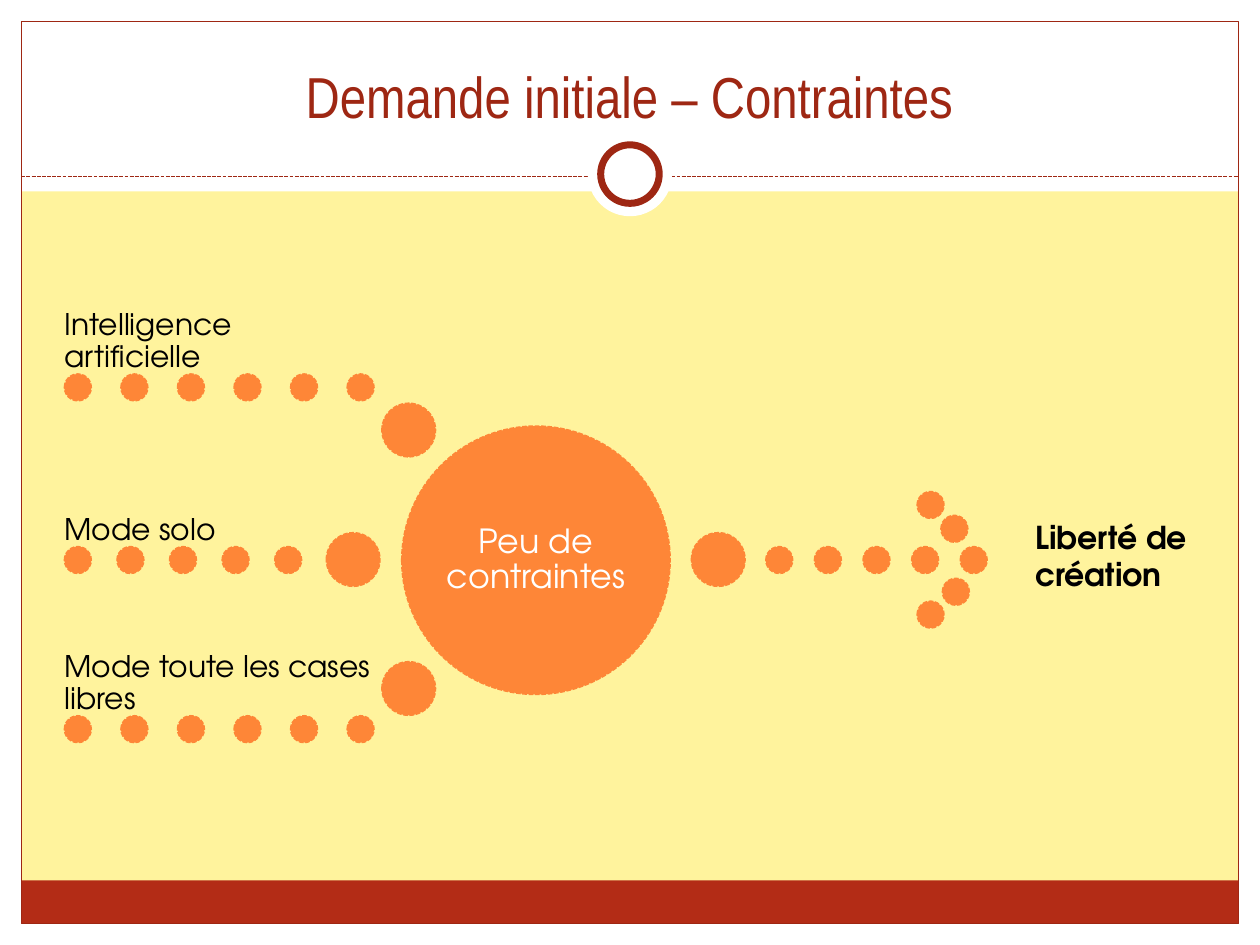
"""Build the slide on initial request constraints as a converging dot diagram."""
from dataclasses import dataclass
from typing import NamedTuple, Optional

from lxml import etree
from pptx import Presentation
from pptx.dml.color import RGBColor
from pptx.enum import dml, shapes, text
from pptx.oxml.ns import qn
from pptx.util import Cm, Pt


@dataclass(frozen=True)
class Theme:
    """Colours, fonts and sizes of the slide."""

    background: str = "FFF39D"
    white: str = "FFFFFF"
    black: str = "000000"
    accent: str = "9E2713"
    band: str = "B32C16"
    dot: str = "FE8637"
    title_font: str = "Arial Narrow"
    body_font: str = "TeX Gyre Adventor"
    title_size: float = 33
    hub_size: float = 19
    label_size: float = 17
    result_size: float = 18
    thin: float = 0.75
    dot_line: float = 0.9
    ring_line: float = 4


class Box(NamedTuple):
    """A position and size in centimetres."""

    left: float
    top: float
    width: float
    height: float


class Line(NamedTuple):
    """An outline."""

    color: str
    width: float
    dashed: bool = False


class Style(NamedTuple):
    """The look of a text."""

    size: float
    color: str
    font: str
    bold: bool = False
    align: text.PP_ALIGN = text.PP_ALIGN.LEFT
    anchor: text.MSO_ANCHOR = text.MSO_ANCHOR.BOTTOM
    spacing: Optional[float] = None
    margin: Optional[float] = None


class DotRow(NamedTuple):
    """A horizontal row of equally spaced dots."""

    left: float
    top: float
    pitch: float
    count: int


class Branch(NamedTuple):
    """A labelled dot row that leads to a larger node."""

    label: str
    label_width: float
    row: DotRow
    node_left: float
    node_top: float


THEME = Theme()
RECTANGLE = shapes.MSO_SHAPE.RECTANGLE
OVAL = shapes.MSO_SHAPE.OVAL
WIDTH, HEIGHT = 25.4, 19.05
EDGE = 0.43
HEADER = 3.86
RULE_TOP = 3.56
DOT, NODE = 0.54, 1.08
LABEL_HEIGHT = 1.37
HUB = Box(8.1, 8.59, 5.41, 5.41)
OUTPUT_NODE = (13.94, 10.74)
OUTPUT_ROW = DotRow(15.44, 11.02, 0.98, 5)
ARROW_DOTS = ((18.49, 9.91), (18.97, 10.39), (19, 11.66), (18.49, 12.12))
BRANCHES = (
    Branch("Intelligence artificielle", 6.25, DotRow(1.3, 7.54, 1.14, 6), 7.7, 8.13),
    Branch("Mode solo", 4.72, DotRow(1.3, 11.02, 1.06, 5), 6.58, 10.74),
    Branch("Mode toute les cases libres", 6.25, DotRow(1.3, 14.43, 1.14, 6), 7.7, 13.34),
)


def set_line(line_format, line: Line) -> None:
    """Apply an outline to a line format."""
    line_format.color.rgb = RGBColor.from_string(line.color)
    line_format.width = Pt(line.width)
    if line.dashed:
        line_format.dash_style = dml.MSO_LINE.SQUARE_DOT


def add_figure(slide, kind, box: Box, fill: Optional[str] = None, line: Optional[Line] = None):
    """Add a preset shape with an optional fill and outline."""
    shape = slide.shapes.add_shape(kind, *map(Cm, box))
    shape.shadow.inherit = False
    if fill:
        shape.fill.solid()
        shape.fill.fore_color.rgb = RGBColor.from_string(fill)
    else:
        shape.fill.background()
    if line:
        set_line(shape.line, line)
    else:
        shape.line.fill.background()
    return shape


def write(shape, content: str, style: Style) -> None:
    """Write one styled paragraph into a shape."""
    frame = shape.text_frame
    frame.text = content
    frame.word_wrap = True
    frame.auto_size = text.MSO_AUTO_SIZE.NONE
    frame.vertical_anchor = style.anchor
    if style.margin is not None:
        frame.margin_left = frame.margin_right = Cm(style.margin)
        frame.margin_top = frame.margin_bottom = Cm(style.margin)
    paragraph = frame.paragraphs[0]
    paragraph.alignment = style.align
    paragraph.line_spacing = style.spacing
    paragraph.font.size = Pt(style.size)
    paragraph.font.name = style.font
    paragraph.font.bold = style.bold
    paragraph.font.color.rgb = RGBColor.from_string(style.color)


def add_label(slide, box: Box, content: str, style: Style) -> None:
    """Add a text box."""
    write(slide.shapes.add_textbox(*map(Cm, box)), content, style)


def add_circle(slide, left: float, top: float, size: float):
    """Add an orange circle."""
    line = Line(THEME.dot, THEME.dot_line, dashed=True)
    return add_figure(slide, OVAL, Box(left, top, size, size), THEME.dot, line)


def add_row(slide, row: DotRow) -> None:
    """Add a row of dots."""
    for index in range(row.count):
        add_circle(slide, row.left + index * row.pitch, row.top, DOT)


def add_frame(slide) -> None:
    """Add the white margins, header, footer band, border and ring."""
    slide.background.fill.solid()
    slide.background.fill.fore_color.rgb = RGBColor.from_string(THEME.background)
    inner_width = WIDTH - 2 * EDGE
    for box in (
        Box(0, HEIGHT - EDGE, WIDTH, EDGE),
        Box(0, 0, WIDTH, HEADER),
        Box(0, 0, EDGE, HEIGHT),
        Box(WIDTH - EDGE, 0, EDGE, HEIGHT),
    ):
        add_figure(slide, RECTANGLE, box, THEME.white)
    add_figure(slide, RECTANGLE, Box(EDGE, 17.75, inner_width, 0.87), THEME.band)
    border = Line(THEME.accent, THEME.thin)
    add_figure(slide, RECTANGLE, Box(EDGE, EDGE, inner_width, HEIGHT - 2 * EDGE), line=border)
    ends = map(Cm, (EDGE, RULE_TOP, WIDTH - EDGE, RULE_TOP))
    rule = slide.shapes.add_connector(shapes.MSO_CONNECTOR.STRAIGHT, *ends)
    set_line(rule.line, Line(THEME.accent, THEME.thin, dashed=True))
    etree.SubElement(rule._element.spPr, qn("a:effectLst"))
    for size, line in ((1.7, None), (1.18, Line(THEME.accent, THEME.ring_line))):
        box = Box((WIDTH - size) / 2, 3.51 - size / 2, size, size)
        add_figure(slide, OVAL, box, THEME.white, line)


def add_title(slide, content: str) -> None:
    """Place the title above the frame."""
    title = slide.shapes.title
    title.left, title.top, title.width, title.height = map(Cm, (0.84, 0.64, 23.7, 2.11))
    write(title, content, Style(THEME.title_size, THEME.accent, THEME.title_font,
                                align=text.PP_ALIGN.CENTER))
    slide.shapes._spTree.append(title._element)


def add_diagram(slide) -> None:
    """Add the branches, the hub and the dotted arrow to the result."""
    add_row(slide, OUTPUT_ROW)
    add_circle(slide, *OUTPUT_NODE, NODE)
    for left, top in ARROW_DOTS:
        add_circle(slide, left, top, DOT)
    write(add_circle(slide, HUB.left, HUB.top, HUB.width), "Peu de contraintes",
          Style(THEME.hub_size, THEME.white, THEME.body_font, align=text.PP_ALIGN.CENTER,
                anchor=text.MSO_ANCHOR.MIDDLE, spacing=0.9, margin=0.08))
    label_style = Style(THEME.label_size, THEME.black, THEME.body_font, spacing=0.9, margin=0)
    for branch in BRANCHES:
        row = branch.row
        add_circle(slide, branch.node_left, branch.node_top, NODE)
        add_row(slide, row)
        box = Box(row.left, row.top - LABEL_HEIGHT, branch.label_width, LABEL_HEIGHT)
        add_label(slide, box, branch.label, label_style)
    add_label(slide, Box(20.62, 10.31, 3.89, 1.8), "Liberté de création",
              Style(THEME.result_size, THEME.black, THEME.body_font, bold=True,
                    anchor=text.MSO_ANCHOR.TOP))


def main() -> None:
    """Build and save the presentation."""
    presentation = Presentation()
    presentation.slide_width, presentation.slide_height = Cm(WIDTH), Cm(HEIGHT)
    slide = presentation.slides.add_slide(presentation.slide_layouts[5])
    add_frame(slide)
    add_title(slide, "Demande initiale – Contraintes")
    add_diagram(slide)
    presentation.save("out.pptx")


if __name__ == "__main__":
    main()
